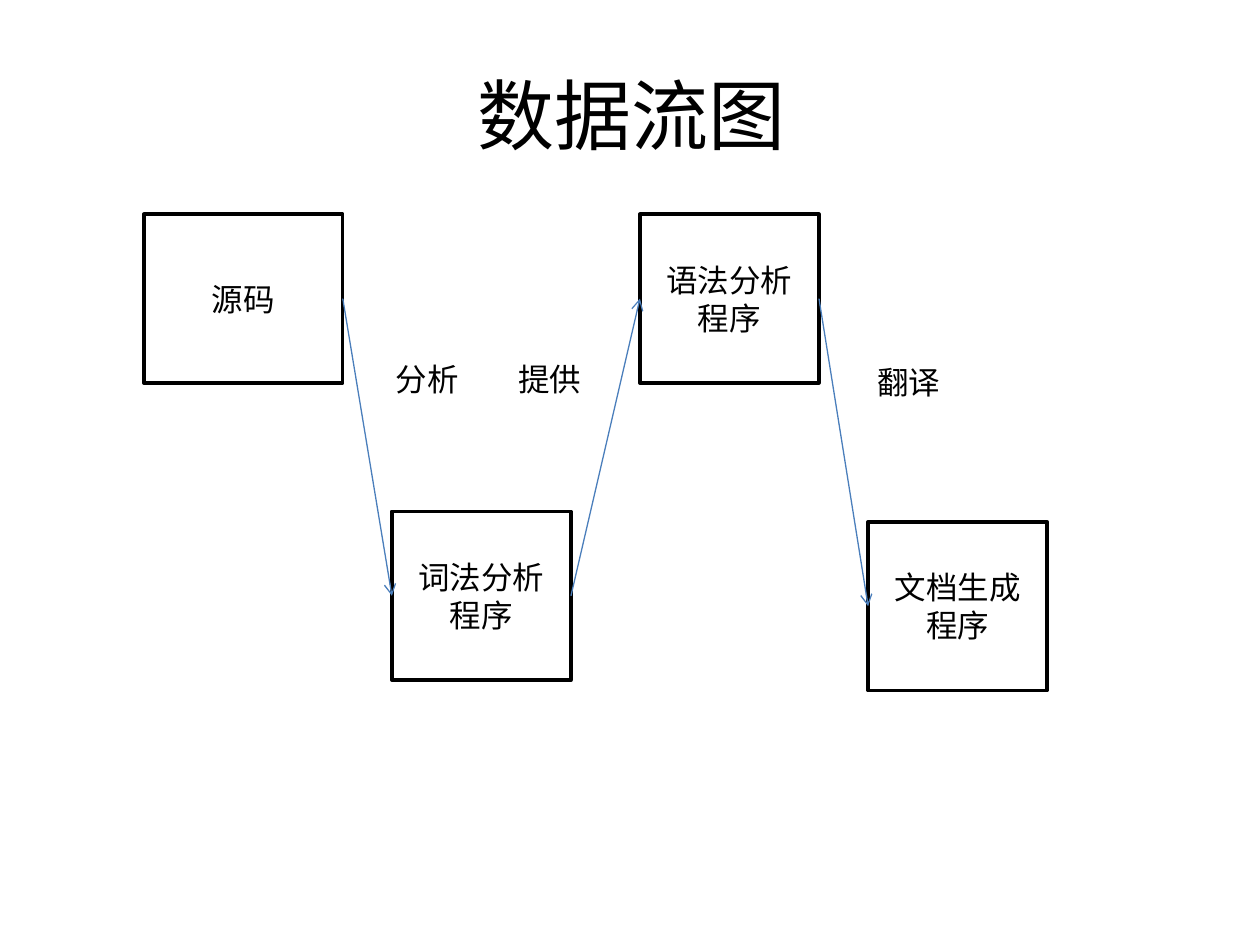
from lxml import etree
from pptx import Presentation
from pptx.dml.color import RGBColor
from pptx.enum.shapes import MSO_CONNECTOR, MSO_SHAPE
from pptx.enum.text import MSO_ANCHOR, PP_ALIGN
from pptx.oxml.ns import qn
from pptx.util import Cm, Pt

PROCESS, STRAIGHT = MSO_SHAPE.FLOWCHART_PROCESS, MSO_CONNECTOR.STRAIGHT
CENTER, MIDDLE, TOP = PP_ALIGN.CENTER, MSO_ANCHOR.MIDDLE, MSO_ANCHOR.TOP
LEFT_SITE, RIGHT_SITE = 1, 3
FONT = "Calibri"
COLORS = {"ink": "000000", "paper": "FFFFFF", "arrow": "4A7EBB"}
BOX_H = 3.4
STEPS = [
    ("源码", 0, 0, 4.01),
    ("词法分析程序", 5, 5.99, 3.61),
    ("语法分析程序", 10, 0, 3.61),
    ("文档生成程序", 14.6, 6.2, 3.61),
]
LABELS = [("分析", 4.54, 2.82), ("提供", 7.01, 2.82), ("翻译", 14.25, 2.87)]


def color(name):
    """Return the named colour."""
    return RGBColor.from_string(COLORS[name])


def write(shape, text, size, anchor):
    """Put centred text into a shape."""
    tf = shape.text_frame
    tf.word_wrap = True
    tf.vertical_anchor = anchor
    p = tf.paragraphs[0]
    p.alignment = CENTER
    r = p.add_run()
    r.text = text
    r.font.size = Pt(size)
    r.font.name = FONT
    r.font.color.rgb = color("ink")


def add_title(s, text, x, y, w, h):
    """Place the title placeholder in the given box."""
    title = s.shapes.title
    title.left, title.top, title.width, title.height = Cm(x), Cm(y), Cm(w), Cm(h)
    write(title, text, 44, MIDDLE)


def add_step(s, text, x, y, w, h):
    """Draw one process box."""
    sp = s.shapes.add_shape(PROCESS, Cm(x), Cm(y), Cm(w), Cm(h))
    sp.shadow.inherit = False
    sp.fill.solid()
    sp.fill.fore_color.rgb = color("paper")
    sp.line.color.rgb = color("ink")
    sp.line.width = Pt(2)
    write(sp, text, 18, MIDDLE)
    return sp


def add_arrow(s, source, target):
    """Join the right side of one box to the left side of the next."""
    line = s.shapes.add_connector(STRAIGHT, 0, 0, 0, 0)
    line.begin_connect(source, RIGHT_SITE)
    line.end_connect(target, LEFT_SITE)
    line.line.color.rgb = color("arrow")
    line.line.width = Pt(0.75)
    etree.SubElement(line.line._get_or_add_ln(), qn("a:tailEnd"), type="arrow")
    etree.SubElement(line._element.spPr, qn("a:effectLst"))


def add_flow(s, x, y):
    """Draw the boxes, arrows and labels from the given corner."""
    boxes = [add_step(s, text, x + dx, y + dy, w, BOX_H) for text, dx, dy, w in STEPS]
    for source, target in zip(boxes, boxes[1:]):
        add_arrow(s, source, target)
    for text, dx, dy in LABELS:
        label = s.shapes.add_textbox(Cm(x + dx), Cm(y + dy), Cm(2.34), Cm(1.02))
        write(label, text, 18, TOP)


def main():
    """Build and save the slide."""
    prs = Presentation()
    prs.slide_width, prs.slide_height = Cm(25.4), Cm(19.05)
    s = prs.slides.add_slide(prs.slide_layouts[5])
    add_title(s, "数据流图", 1.3, 0.71, 22.86, 3.18)
    add_flow(s, 2.9, 4.32)
    prs.save("out.pptx")


if __name__ == "__main__":
    main()
